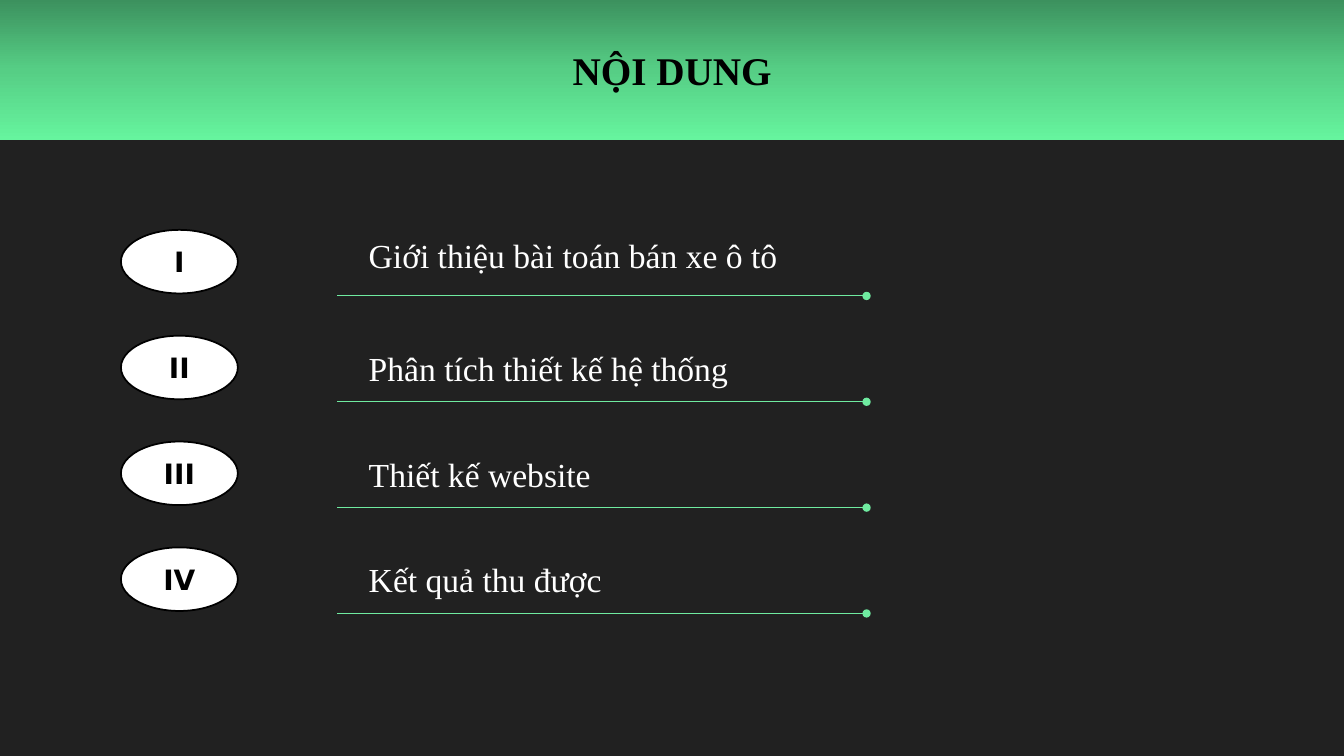
from copy import deepcopy
from lxml import etree
from pptx import Presentation
from pptx.dml.color import RGBColor
from pptx.enum.shapes import MSO_CONNECTOR, MSO_SHAPE
from pptx.enum.text import MSO_AUTO_SIZE, PP_ALIGN
from pptx.oxml.ns import qn
from pptx.util import Pt

RECTANGLE = MSO_SHAPE.RECTANGLE
OVAL = MSO_SHAPE.FLOWCHART_CONNECTOR
STRAIGHT = MSO_CONNECTOR.STRAIGHT
FIT_SHAPE = MSO_AUTO_SIZE.SHAPE_TO_FIT_TEXT
LEFT, CENTER = PP_ALIGN.LEFT, PP_ALIGN.CENTER

THEME = {
    "background": RGBColor.from_string("212121"),
    "banner": [(0, "3C915E"), (0.5, "56CE85"), (1, "66F49E")],
    "rule": RGBColor.from_string("6FEBA0"),
    "black": RGBColor.from_string("000000"),
    "white": RGBColor.from_string("FFFFFF"),
    "serif": "Times New Roman",
    "sans": "DejaVu Sans",
    "title_size": Pt(28),
    "label_size": Pt(24),
    "numeral_size": Pt(20),
}

ROW_PITCH = 75.6
OVAL_LEFT, OVAL_TOP, OVAL_WIDTH, OVAL_HEIGHT = 86.4, 164.2, 83.5, 45.4
OVAL_CENTER = OVAL_LEFT + OVAL_WIDTH / 2

AGENDA = [
    ("I", 25, "Giới thiệu bài toán bán xe ô tô", 545, 0),
    ("II", 37, "Phân tích thiết kế hệ thống", 354.2, 5),
    ("III", 47.5, "Thiết kế website", 354.2, 5),
    ("IV", 41, "Kết quả thu được", 354.2, 5),
]


def add_text(text, left, top, width, height, face, size, color, bold, align, wrap):
    box = page.shapes.add_textbox(Pt(left), Pt(top), Pt(width), Pt(height))
    frame = box.text_frame
    frame.word_wrap = wrap
    frame.auto_size = FIT_SHAPE
    para = frame.paragraphs[0]
    para.text = text
    para.alignment = align
    para.font.name = THEME[face]
    para.font.size = THEME[size]
    para.font.color.rgb = THEME[color]
    para.font.bold = bold


deck = Presentation()
deck.slide_width = Pt(960)
deck.slide_height = Pt(540)
page = deck.slides.add_slide(deck.slide_layouts[6])
page.background.fill.solid()
page.background.fill.fore_color.rgb = THEME["background"]

banner = page.shapes.add_shape(RECTANGLE, 0, 0, deck.slide_width, Pt(100))
banner.shadow.inherit = False
banner.line.fill.background()
banner.fill.gradient()
banner.fill.gradient_angle = 270
stop_list = banner._element.spPr.find(".//" + qn("a:gsLst"))
stop_list.append(deepcopy(stop_list[0]))
for stop, (position, color) in zip(banner.fill.gradient_stops, THEME["banner"]):
    stop.position = position
    stop.color.rgb = RGBColor.from_string(color)

add_text("NỘI DUNG", 363.6, 29.5, 233, 41, "serif", "title_size", "black", True, CENTER, True)

for row, (numeral, numeral_width, label, label_width, label_drop) in enumerate(AGENDA):
    top = OVAL_TOP + row * ROW_PITCH

    oval = page.shapes.add_shape(OVAL, Pt(OVAL_LEFT), Pt(top), Pt(OVAL_WIDTH), Pt(OVAL_HEIGHT))
    oval.shadow.inherit = False
    oval.fill.solid()
    oval.fill.fore_color.rgb = THEME["white"]
    oval.line.color.rgb = THEME["black"]
    oval.line.width = Pt(1.25)

    add_text(numeral, OVAL_CENTER - numeral_width / 2, top + 7, numeral_width, 31.5,
             "sans", "numeral_size", "black", True, CENTER, False)
    add_text(label, 256.3, top + label_drop, label_width, 36,
             "serif", "label_size", "white", False, LEFT, True)

    rule_top = Pt(top + 47.2)
    rule = page.shapes.add_connector(STRAIGHT, Pt(241), rule_top, Pt(619), rule_top)
    rule.line.color.rgb = THEME["rule"]
    rule.line.width = Pt(0.75)
    etree.SubElement(rule.line._get_or_add_ln(), qn("a:tailEnd"), type="oval")
    etree.SubElement(rule._element.spPr, qn("a:effectLst"))

deck.save("out.pptx")
